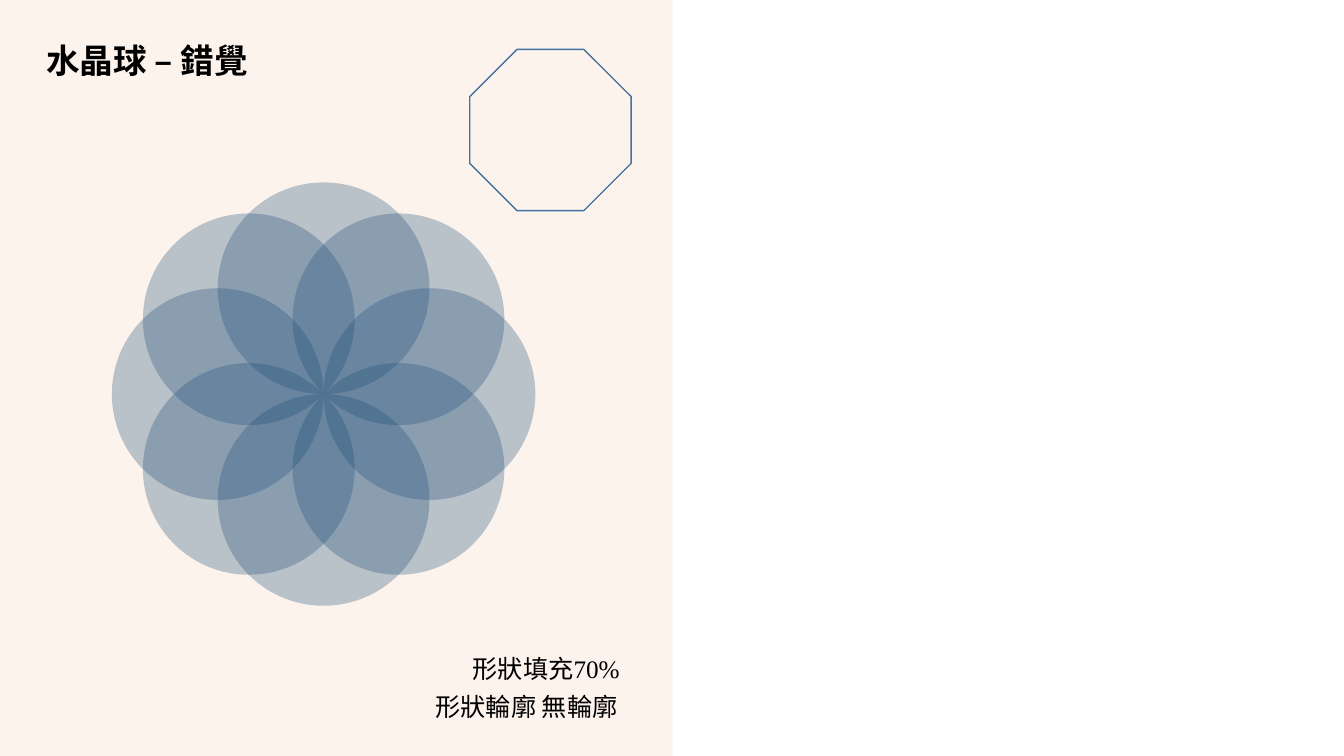
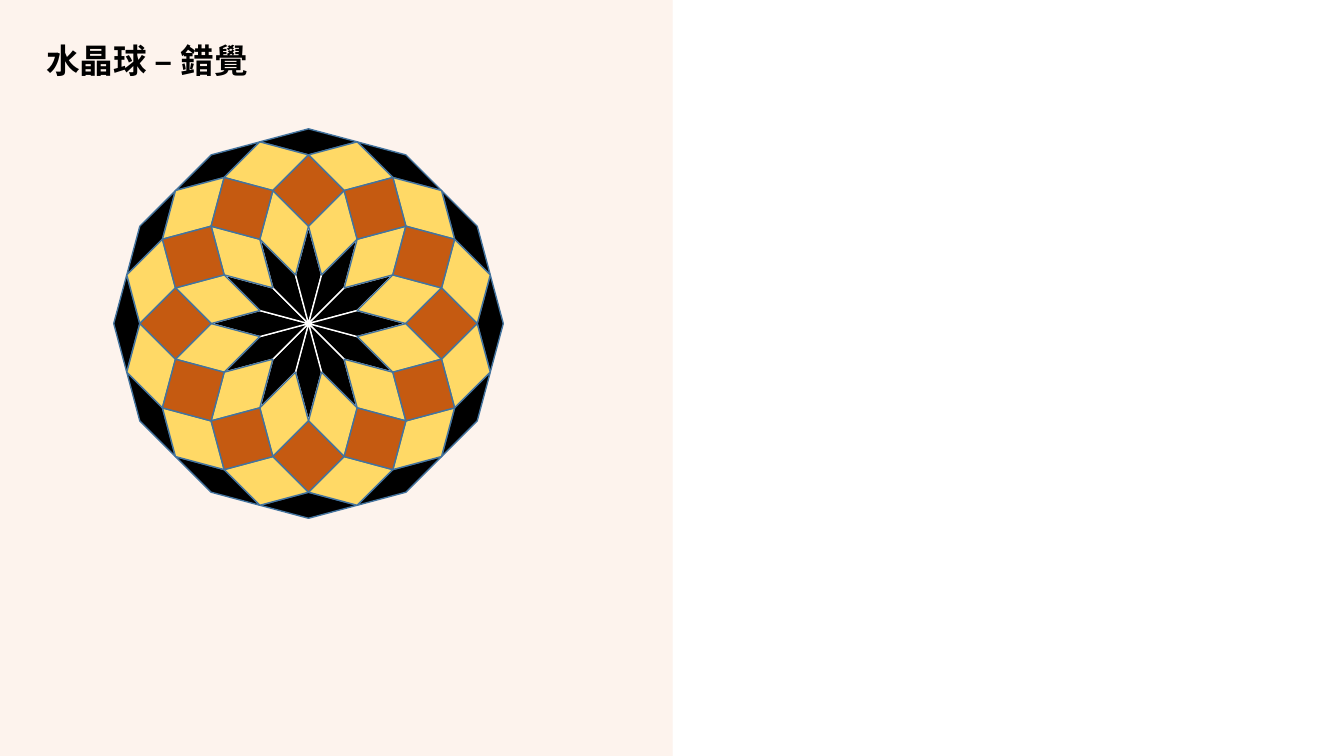
import math

from lxml import etree
from pptx import Presentation
from pptx import util as u
from pptx.dml.color import RGBColor
from pptx.enum import shapes, text
from pptx.oxml.ns import qn

PX = 9144  # EMU per px, 100 px to the inch
SLIDE_W, SLIDE_H = 1333, 750
BAND_W = 667
TITLE = "水晶球 – 錯覺"
CJK_FONT, LATIN_FONT = "Noto Sans CJK SC", "Times New Roman"
COLORS = {
    "band": "F4B183", "band_edge": "FBE5D6", "ink": "000000",
    "petal": "1F4E79", "outline": "43739E", "white": "FFFFFF",
    "yellow": "FFD966", "orange": "C55A11",
}


def px(*lengths):
    return [u.Emu(round(length * PX)) for length in lengths]


def rgb(name):
    return RGBColor.from_string(COLORS[name])


# --- Styling -----------------------------------------------------------
def set_opacity(shape, percent):
    color = shape.element.spPr.find(".//" + qn("a:srgbClr"))
    etree.SubElement(color, qn("a:alpha")).set("val", str(percent * 1000))


def paint(shape, fill=None, line=None):
    shape.shadow.inherit = False
    if fill:
        shape.fill.solid()
        shape.fill.fore_color.rgb = rgb(fill)
    else:
        shape.fill.background()
    if line:
        shape.line.color.rgb = rgb(line)
        shape.line.width = u.Pt(1)
    else:
        shape.line.fill.background()


def add_run(paragraph, words, size, latin, bold=False):
    run = paragraph.add_run()
    run.text = words
    run.font.size = u.Pt(size)
    run.font.bold = bold
    run.font.name = latin
    run.font.color.rgb = rgb("ink")
    east_asian = etree.SubElement(run.font._element, qn("a:ea"))
    east_asian.set("typeface", CJK_FONT)


# --- Elements ----------------------------------------------------------
def add_preset(slide, kind, box, fill=None, line=None):
    shape = slide.shapes.add_shape(kind, *px(*box))
    paint(shape, fill, line)
    return shape


def add_caption(slide, box, words):
    caption = slide.shapes.add_textbox(*px(*box))
    caption.text_frame.word_wrap = True
    add_run(caption.text_frame.paragraphs[0], words, 18, LATIN_FONT)


def add_polygon(parent, points, fill, line):
    corners = [px(*point) for point in points]
    builder = parent.shapes.build_freeform(*corners[0])
    builder.add_line_segments(corners[1:], close=True)
    paint(builder.convert_to_shape(), fill, line)


def add_petals(slide, center, radius, count):
    for i in range(count):
        angle = math.tau * i / count
        left = center[0] + radius * math.cos(angle) - radius
        top = center[1] + radius * math.sin(angle) - radius
        petal = add_preset(slide, shapes.MSO_SHAPE.OVAL,
                           (left, top, 2 * radius, 2 * radius), "petal")
        set_opacity(petal, 30)


def add_rosette(slide, center, edge, count, layers):
    """Each layer lists its rings, counted from the center, fill and line."""
    def vertex(steps, first):
        angles = [math.tau * (first + k + 0.5) / count for k in range(steps)]
        return (center[0] + edge * sum(map(math.cos, angles)),
                center[1] + edge * sum(map(math.sin, angles)))

    for rings, fill, line in layers:
        layer = slide.shapes.add_group_shape()
        for ring in rings:
            for i in range(count):
                rhombus = [vertex(ring - 1, i + 1), vertex(ring, i),
                           vertex(ring + 1, i), vertex(ring, i + 1)]
                add_polygon(layer, rhombus, fill, line)


# --- Shared layout -----------------------------------------------------
def build_layout(prs):
    """Put the band, its edge and the title position on the layout."""
    layout = prs.slide_layouts[5]
    title = layout.placeholders[0]
    title.left, title.top, title.width, title.height = px(36, 40, 595, 44)
    return layout


def move_band_to_layout(slide, layout):
    band = add_preset(slide, shapes.MSO_SHAPE.RECTANGLE,
                      (0, 0, BAND_W, SLIDE_H), "band")
    set_opacity(band, 14)
    edge = slide.shapes.add_connector(
        shapes.MSO_CONNECTOR.STRAIGHT, *px(BAND_W, SLIDE_H, BAND_W, 0))
    edge.line.color.rgb = rgb("band_edge")
    edge.line.width = u.Pt(0.25)
    set_opacity(edge, 50)
    etree.SubElement(edge.element.spPr, qn("a:effectLst"))
    for position, part in enumerate((band, edge), start=2):
        layout.shapes.element.insert(position, part.element)


def add_titled_slide(prs, layout):
    slide = prs.slides.add_slide(layout)
    frame = slide.shapes.title.text_frame
    frame.word_wrap = True
    frame.auto_size = text.MSO_AUTO_SIZE.NONE
    frame.vertical_anchor = text.MSO_ANCHOR.MIDDLE
    heading = frame.paragraphs[0]
    heading.alignment = text.PP_ALIGN.LEFT
    heading.line_spacing = 0.9
    add_run(heading, TITLE, 24, CJK_FONT, bold=True)
    return slide


def main():
    prs = Presentation()
    prs.slide_width, prs.slide_height = px(SLIDE_W, SLIDE_H)
    layout = build_layout(prs)

    # Overlapping circles
    circles = add_titled_slide(prs, layout)
    move_band_to_layout(circles, layout)
    add_petals(circles, (321, 391), 105, 8)
    add_caption(circles, (459, 643, 194, 40), "形狀填充70%")
    add_caption(circles, (422, 681, 232, 40), "形狀輪廓 無輪廓")
    add_preset(circles, shapes.MSO_SHAPE.OCTAGON, (466, 49, 160, 160),
               line="outline")

    # Rhombus rosette
    rosette = add_titled_slide(prs, layout)
    add_rosette(rosette, (306, 321), 50, 12, [
        ([1], "ink", "white"),
        ([5], "ink", "outline"),
        ([2, 4], "yellow", "outline"),
        ([3], "orange", "outline"),
    ])

    prs.save("out.pptx")


if __name__ == "__main__":
    main()
